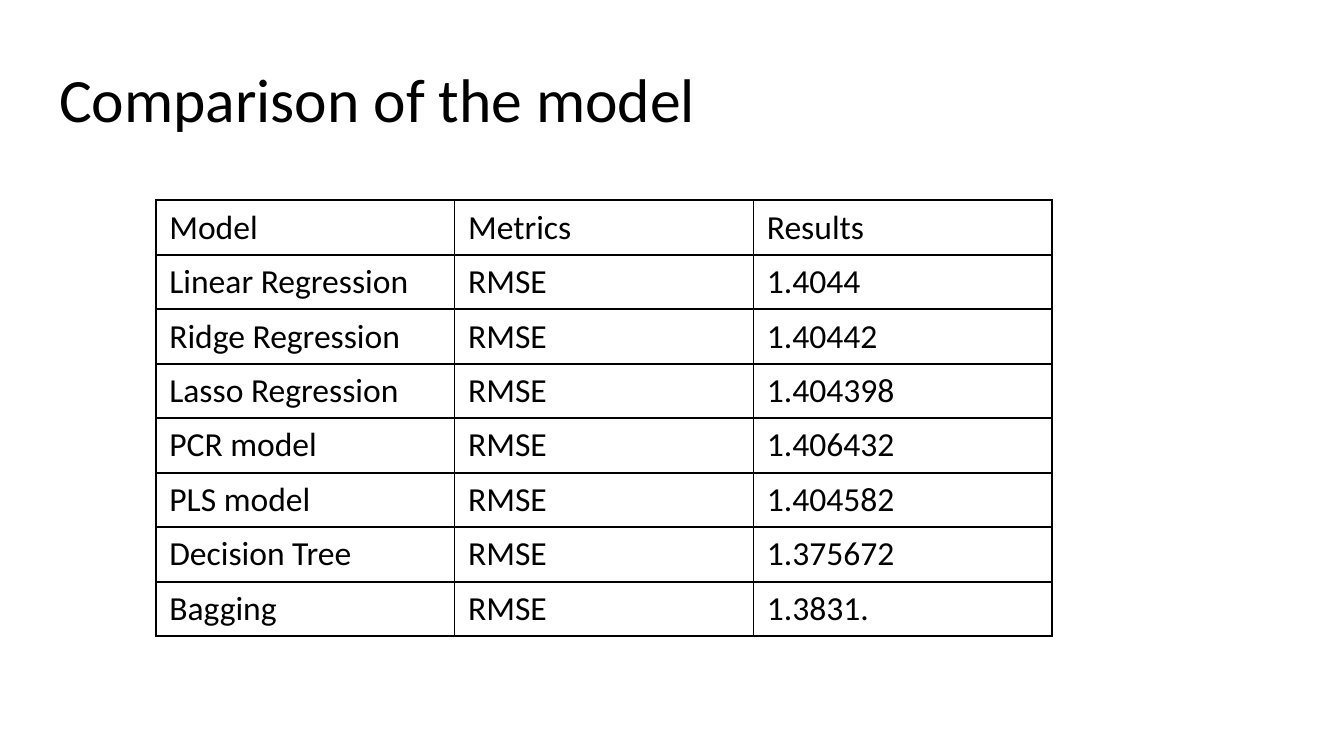
from dataclasses import dataclass

from lxml import etree
from pptx import Presentation
from pptx.dml.color import RGBColor
from pptx.enum.text import MSO_ANCHOR, PP_ALIGN
from pptx.oxml.ns import qn
from pptx.util import Inches, Pt

MIDDLE = MSO_ANCHOR.MIDDLE
LEFT = PP_ALIGN.LEFT
TITLE_ONLY = 5


@dataclass(frozen=True)
class Theme:
    font: str = "Calibri"
    ink: str = "000000"
    title_size: int = 33
    body_size: int = 18
    border_width: int = 1


class PageBuilder:
    """Holds the theme and the current page."""

    def __init__(self, deck, theme):
        self.theme = theme
        self.page = deck.slides.add_slide(deck.slide_layouts[TITLE_ONLY])

    def style(self, para, size):
        para.alignment = LEFT
        para.font.name = self.theme.font
        para.font.size = Pt(size)
        para.font.color.rgb = RGBColor.from_string(self.theme.ink)

    def title(self, text, left, top, width, height):
        box = self.page.shapes.title
        box.left, box.top = Inches(left), Inches(top)
        box.width, box.height = Inches(width), Inches(height)
        frame = box.text_frame
        frame.text = text
        frame.word_wrap = True
        frame.vertical_anchor = MIDDLE
        frame.margin_left = frame.margin_right = Inches(0.1)
        frame.margin_top = frame.margin_bottom = Inches(0.1)
        para = frame.paragraphs[0]
        para.line_spacing = 0.9
        self.style(para, self.theme.title_size)

    def border(self, cell):
        properties = cell._tc.get_or_add_tcPr()
        for side in ("a:lnL", "a:lnR", "a:lnT", "a:lnB"):
            line = etree.SubElement(properties, qn(side), w=str(Pt(self.theme.border_width)))
            fill = etree.SubElement(line, qn("a:solidFill"))
            etree.SubElement(fill, qn("a:srgbClr"), val=self.theme.ink)

    def table(self, rows, left, top, width, height):
        frame = self.page.shapes.add_table(
            len(rows), len(rows[0]), Inches(left), Inches(top), Inches(width), Inches(height))
        grid = frame.table
        grid.first_row = grid.horz_banding = False
        for row_index, row in enumerate(rows):
            for column_index, text in enumerate(row):
                cell = grid.cell(row_index, column_index)
                cell.text = text
                self.border(cell)
                cell.fill.background()
                self.style(cell.text_frame.paragraphs[0], self.theme.body_size)


# Model names and their errors; every model uses the same metric
METRIC = "RMSE"
RESULTS = [
    ("Linear Regression", "1.4044"),
    ("Ridge Regression", "1.40442"),
    ("Lasso Regression", "1.404398"),
    ("PCR model", "1.406432"),
    ("PLS model", "1.404582"),
    ("Decision Tree", "1.375672"),
    ("Bagging", "1.3831."),
]


def main():
    # Widescreen page, 16:9
    deck = Presentation()
    deck.slide_width = Inches(10)
    deck.slide_height = deck.slide_width * 9 // 16
    builder = PageBuilder(deck, Theme())

    # Heading
    builder.title("Comparison of the model", 0.34, 0.41, 9.32, 0.71)

    # Comparison table
    rows = [("Model", "Metrics", "Results")]
    rows += [(model, METRIC, result) for model, result in RESULTS]
    builder.table(rows, 1.16, 1.49, 6.67, 3.24)

    deck.save("out.pptx")


if __name__ == "__main__":
    main()
